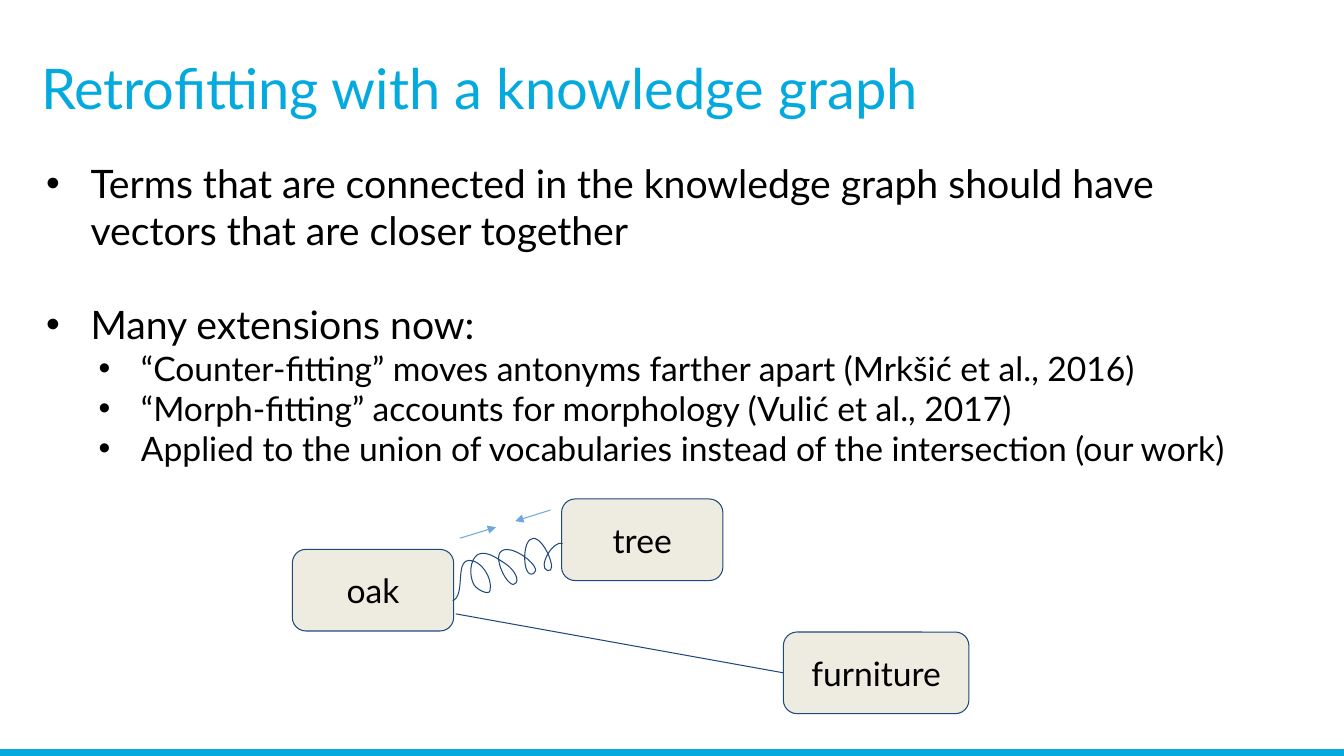
from dataclasses import dataclass

from lxml.etree import Element, SubElement
from pptx import Presentation
from pptx.dml.color import RGBColor
from pptx.enum.shapes import MSO_CONNECTOR, MSO_SHAPE
from pptx.enum.text import MSO_ANCHOR, PP_ALIGN
from pptx.oxml.ns import qn
from pptx.util import Inches, Pt


@dataclass(frozen=True)
class Theme:
    font: str = "Lato"
    accent: str = "04AADE"
    text: str = "000000"
    node: str = "EEECE1"
    outline: str = "1F497D"
    force: str = "6FA8DC"
    title_size: float = 40
    body_size: float = 28
    detail_size: float = 24
    thin: float = 0.75
    thick: float = 6


THEME = Theme()
BULLETS = [
    (0, 0, "Terms that are connected in the knowledge graph should have vectors that are closer together"),
    (0, 33.6, "Many extensions now:"),
    (1, 0, "“Counter-fitting” moves antonyms farther apart (Mrkšić et al., 2016)"),
    (1, 0, "“Morph-fitting” accounts for morphology (Vulić et al., 2017)"),
    (1, 0, "Applied to the union of vocabularies instead of the intersection (our work)"),
]
SPRING_START = (4.49, 5.96)
SPRING_CURVES = [
    ((4.62, 5.9), (4.51, 5.57), (4.65, 5.56)),
    ((4.77, 5.55), (4.89, 5.74), (4.86, 5.86)),
    ((4.85, 5.91), (4.73, 5.85), (4.7, 5.8)),
    ((4.65, 5.71), (4.66, 5.55), (4.74, 5.5)),
    ((4.83, 5.46), (4.93, 5.54), (5.01, 5.59)),
    ((5.07, 5.63), (5.15, 5.72), (5.12, 5.78)),
    ((5.06, 5.88), (4.88, 5.54), (4.97, 5.47)),
    ((5.07, 5.38), (5.4, 5.64), (5.29, 5.69)),
    ((5.18, 5.75), (5.17, 5.34), (5.29, 5.34)),
    ((5.4, 5.34), (5.54, 5.69), (5.43, 5.66)),
    ((5.33, 5.63), (5.48, 5.36), (5.58, 5.39)),
]


def color(value):
    return RGBColor.from_string(value)


def write(paragraph, text, size=THEME.detail_size, fill=THEME.text,
          align=PP_ALIGN.LEFT, spacing=1.0, before=0):
    paragraph.alignment = align
    paragraph.line_spacing = spacing
    paragraph.space_before = Pt(before)
    run = paragraph.add_run()
    run.text = text
    run.font.name = THEME.font
    run.font.size = Pt(size)
    run.font.color.rgb = color(fill)


def add_text_box(slide, left, top, width, height, anchor=MSO_ANCHOR.TOP):
    box = slide.shapes.add_textbox(Inches(left), Inches(top), Inches(width), Inches(height))
    frame = box.text_frame
    frame.word_wrap = True
    frame.vertical_anchor = anchor
    return frame


def add_bullet(paragraph, level):
    paragraph.level = level
    properties = paragraph._p.get_or_add_pPr()
    properties.set("marL", str(Inches(0.5 + 0.5 * level)))
    properties.set("indent", str(Inches(-0.44 + 0.02 * level)))
    bullet_color = SubElement(properties, qn("a:buClr"))
    SubElement(bullet_color, qn("a:srgbClr"), val=THEME.text)
    SubElement(properties, qn("a:buFont"), typeface="Arial")
    SubElement(properties, qn("a:buChar"), char="•")


def add_bullets(slide, items):
    frame = add_text_box(slide, 0.3, 1.53, 12.01, 5.18)
    sizes = (THEME.body_size, THEME.detail_size)
    for index, (level, before, text) in enumerate(items):
        paragraph = frame.add_paragraph() if index else frame.paragraphs[0]
        write(paragraph, text, size=sizes[level], before=before)
        add_bullet(paragraph, level)


def style_line(line, stroke, weight):
    line.color.rgb = color(stroke)
    line.width = Pt(weight)


def add_node(slide, label, left, top, width=1.6):
    node = slide.shapes.add_shape(
        MSO_SHAPE.ROUNDED_RECTANGLE, Inches(left), Inches(top), Inches(width), Inches(0.81))
    node.shadow.inherit = False
    node.fill.solid()
    node.fill.fore_color.rgb = color(THEME.node)
    style_line(node.line, THEME.outline, THEME.thin)
    frame = node.text_frame
    frame.word_wrap = True
    frame.vertical_anchor = MSO_ANCHOR.MIDDLE
    frame.margin_top = frame.margin_bottom = Inches(0.1)
    write(frame.paragraphs[0], label, align=PP_ALIGN.CENTER)
    return node


def add_line(slide, start, end, stroke=THEME.outline, weight=THEME.thin, arrow=False):
    connector = slide.shapes.add_connector(
        MSO_CONNECTOR.STRAIGHT, *(Inches(value) for value in start + end))
    style_line(connector.line, stroke, weight)
    if arrow:
        SubElement(connector.line._get_or_add_ln(), qn("a:tailEnd"), type="triangle")
    SubElement(connector._element.spPr, qn("a:effectLst"))
    return connector


def add_spring(slide, start, curves):
    builder = slide.shapes.build_freeform(*(Inches(value) for value in start))
    ends = [(Inches(x), Inches(y)) for _, _, (x, y) in curves]
    builder.add_line_segments(ends, close=False)
    spring = builder.convert_to_shape()
    spring.shadow.inherit = False
    spring.fill.background()
    style_line(spring.line, THEME.outline, THEME.thin)
    segments = list(spring._element.iter(qn("a:lnTo")))
    for segment, (first, second, _) in zip(segments, curves):
        segment.tag = qn("a:cubicBezTo")
        for position, (x, y) in enumerate((first, second)):
            control = Element(qn("a:pt"), x=str(Inches(x) - spring.left), y=str(Inches(y) - spring.top))
            segment.insert(position, control)


def main():
    presentation = Presentation()
    presentation.slide_width = Inches(13.33)
    presentation.slide_height = Inches(7.5)
    slide = presentation.slides.add_slide(presentation.slide_layouts[6])

    add_line(slide, (0, 7.47), (13.34, 7.47), stroke=THEME.accent, weight=THEME.thick)
    title = add_text_box(slide, 0.31, 0.51, 11.5, 0.79, anchor=MSO_ANCHOR.MIDDLE)
    write(title.paragraphs[0], "Retrofitting with a knowledge graph",
          size=THEME.title_size, fill=THEME.accent, spacing=0.9)
    add_bullets(slide, BULLETS)

    add_node(slide, "oak", 2.9, 5.45)
    add_node(slide, "tree", 5.57, 4.95)
    add_spring(slide, SPRING_START, SPRING_CURVES)
    for start, end in (((4.56, 5.34), (4.92, 5.23)), ((5.46, 5.06), (5.11, 5.17))):
        add_line(slide, start, end, stroke=THEME.force, arrow=True)
    furniture = add_node(slide, "furniture", 7.77, 6.27, width=1.84)
    link = add_line(slide, (4.52, 6.09), (7.77, 6.67))
    link.end_connect(furniture, 1)

    presentation.save("out.pptx")


if __name__ == "__main__":
    main()
